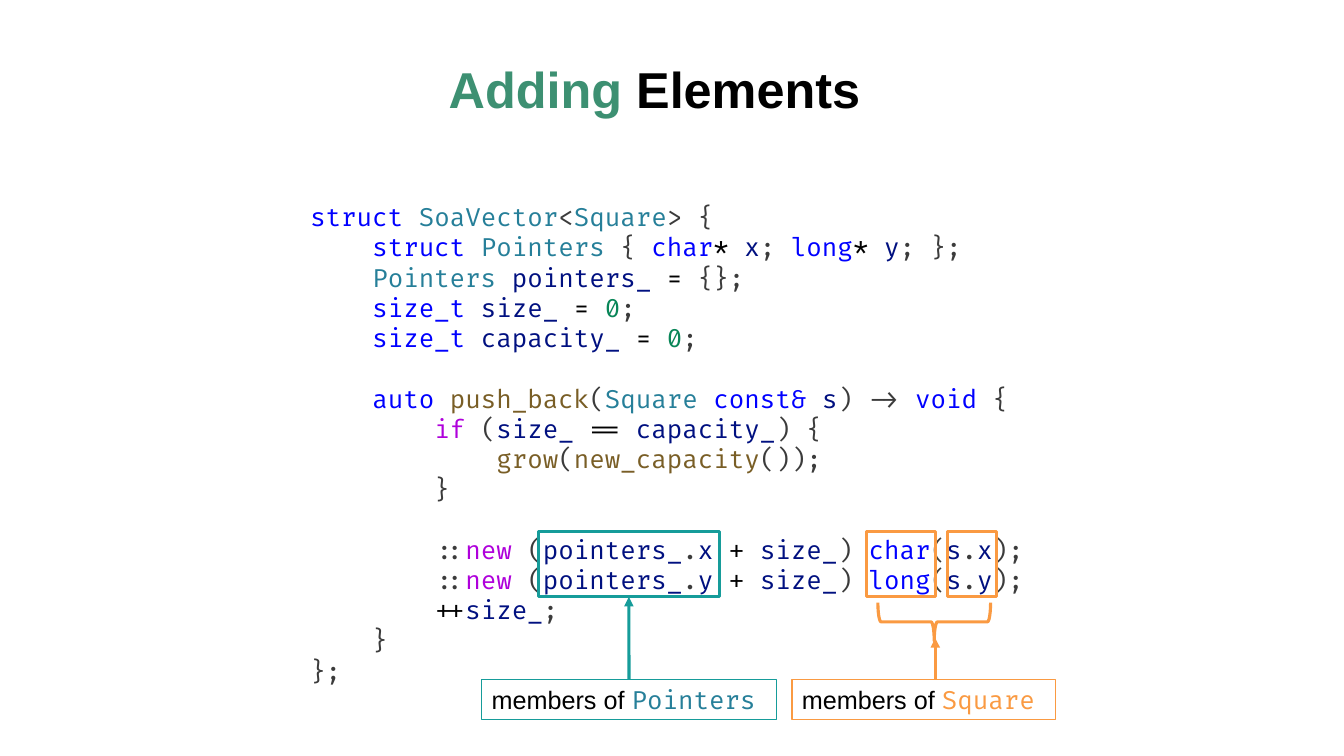
from itertools import groupby

from lxml import etree
from pptx import Presentation
from pptx import util as u
from pptx.dml.color import RGBColor
from pptx.enum import shapes, text
from pptx.oxml.ns import qn

COLOURS = {
    "black": "000000", "green": "3D9072", "teal": "169C9A", "orange": "FA9A42",
    "plain": "3B3B3B", "keyword": "0000FF", "type": "267F99", "name": "001080",
    "number": "098658", "function": "795E26", "control": "AF00DB",
}
WORDS = {
    "keyword": "struct char long size_t auto const& void",
    "type": "SoaVector Square Pointers",
    "function": "push_back grow new_capacity",
    "control": "if new",
    "number": "0",
}
WORD_COLOURS = {word: kind for kind, words in WORDS.items() for word in words.split()}

CODE = """\
struct SoaVector<Square> {
    struct Pointers { char* x; long* y; };
    Pointers pointers_ = {};
    size_t size_ = 0;
    size_t capacity_ = 0;

    auto push_back(Square const& s) -> void {
        if (size_ == capacity_) {
            grow(new_capacity());
        }

        ::new (pointers_.x + size_) char(s.x);
        ::new (pointers_.y + size_) long(s.y);
        ++size_;
    }
};"""


def char_kind(char):
    if char.isalnum() or char in "_&":
        return "name"
    return "black" if char in "*=+" else "plain"


def tokens(line):
    """Split a code line into (text, colour) pairs."""
    for kind, chars in groupby(line, char_kind):
        token = "".join(chars)
        yield token, WORD_COLOURS.get(token, kind)


class SlideBuilder:
    sans, mono, size = "Arial", "Fira Code", 18

    def __init__(self, slide):
        self.slide = slide

    def colour(self, name):
        return RGBColor.from_string(COLOURS[name])

    def add_words(self, paragraph, content, colour, font, size=size, bold=False):
        run = paragraph.add_run()
        run.text = content
        run.font.name, run.font.size, run.font.bold = font, u.Pt(size), bold
        run.font.color.rgb = self.colour(colour)

    def title(self, left, top, width, height, parts):
        title = self.slide.shapes.title
        title.left, title.top, title.width, title.height = map(u.Cm, (left, top, width, height))
        frame = title.text_frame
        frame.auto_size = text.MSO_AUTO_SIZE.NONE
        frame.vertical_anchor = text.MSO_ANCHOR.TOP
        heading = frame.paragraphs[0]
        heading.alignment = text.PP_ALIGN.CENTER
        heading.line_spacing = 0.9
        for content, colour in parts:
            self.add_words(heading, content, colour, self.sans, 36, True)

    def code(self, left, top, width, height, source):
        frame = self.slide.shapes.add_textbox(*map(u.Cm, (left, top, width, height))).text_frame
        frame.word_wrap = False
        frame.auto_size = text.MSO_AUTO_SIZE.SHAPE_TO_FIT_TEXT
        for block_index, block in enumerate(source.split("\n\n")):
            for line_index, line in enumerate(block.split("\n")):
                first = block_index == line_index == 0
                paragraph = frame.paragraphs[0] if first else frame.add_paragraph()
                if block_index and not line_index:
                    paragraph.space_before = u.Pt(21.6)  # one code line
                for token, colour in tokens(line):
                    self.add_words(paragraph, token, colour, self.mono)

    def outline(self, left, top, width, height, colour, weight=2.25,
                preset=shapes.MSO_SHAPE.RECTANGLE):
        shape = self.slide.shapes.add_shape(preset, *map(u.Cm, (left, top, width, height)))
        shape.shadow.inherit = False
        shape.fill.background()
        shape.line.color.rgb = self.colour(colour)
        shape.line.width = u.Pt(weight)
        return shape

    def label(self, left, width, type_name, line_colour, type_colour):
        label = self.outline(left, 17.12, width, 1.02, line_colour, 0.75)
        frame = label.text_frame
        frame.word_wrap = False
        frame.auto_size = text.MSO_AUTO_SIZE.SHAPE_TO_FIT_TEXT
        caption = frame.paragraphs[0]
        caption.alignment = text.PP_ALIGN.LEFT
        self.add_words(caption, "members of ", "black", self.sans)
        self.add_words(caption, type_name, type_colour, self.mono)
        return label

    def arrow(self, x, bottom, top, colour):
        arrow = self.slide.shapes.add_connector(
            shapes.MSO_CONNECTOR.STRAIGHT, *map(u.Cm, (x, bottom, x, top)))
        arrow.line.color.rgb = self.colour(colour)
        arrow.line.width = u.Pt(2.25)
        properties = arrow._element.spPr
        etree.SubElement(properties.find(qn("a:ln")), qn("a:tailEnd"), type="triangle")
        etree.SubElement(properties, qn("a:effectLst"))
        return arrow


def main():
    deck = Presentation()
    deck.slide_width, deck.slide_height = u.Cm(33.87), u.Cm(19.05)
    builder = SlideBuilder(deck.slides.add_slide(deck.slide_layouts[5]))

    # Title and code
    builder.title(1.7, 1.52, 29.59, 3.15, [("Adding", "green"), (" Elements", "black")])
    builder.code(7.57, 4.95, 18.75, 12.57, CODE)

    # Frames around the matching code columns
    frame_top, frame_height = 13.39, 1.65
    pointer_members = builder.outline(13.57, frame_top, 4.56, frame_height, "teal")
    for left, width in ((21.84, 1.73), (23.88, 1.24)):
        builder.outline(left, frame_top, width, frame_height, "orange")

    # Pointers callout
    pointers_label = builder.label(12.14, 7.42, "Pointers", "teal", "type")
    pointers_arrow = builder.arrow(15.85, 17.12, frame_top + frame_height, "teal")
    pointers_arrow.begin_connect(pointers_label, 0)
    pointers_arrow.end_connect(pointer_members, 2)

    # Square callout
    builder.arrow(23.57, 17.12, 16.08, "orange")
    builder.label(19.96, 6.63, "Square", "orange", "orange")
    brace = builder.outline(23.06, 14.25, 0.97, 2.84, "orange",
                            preset=shapes.MSO_SHAPE.LEFT_BRACE)
    brace.rotation = 270

    deck.save("out.pptx")


if __name__ == "__main__":
    main()
